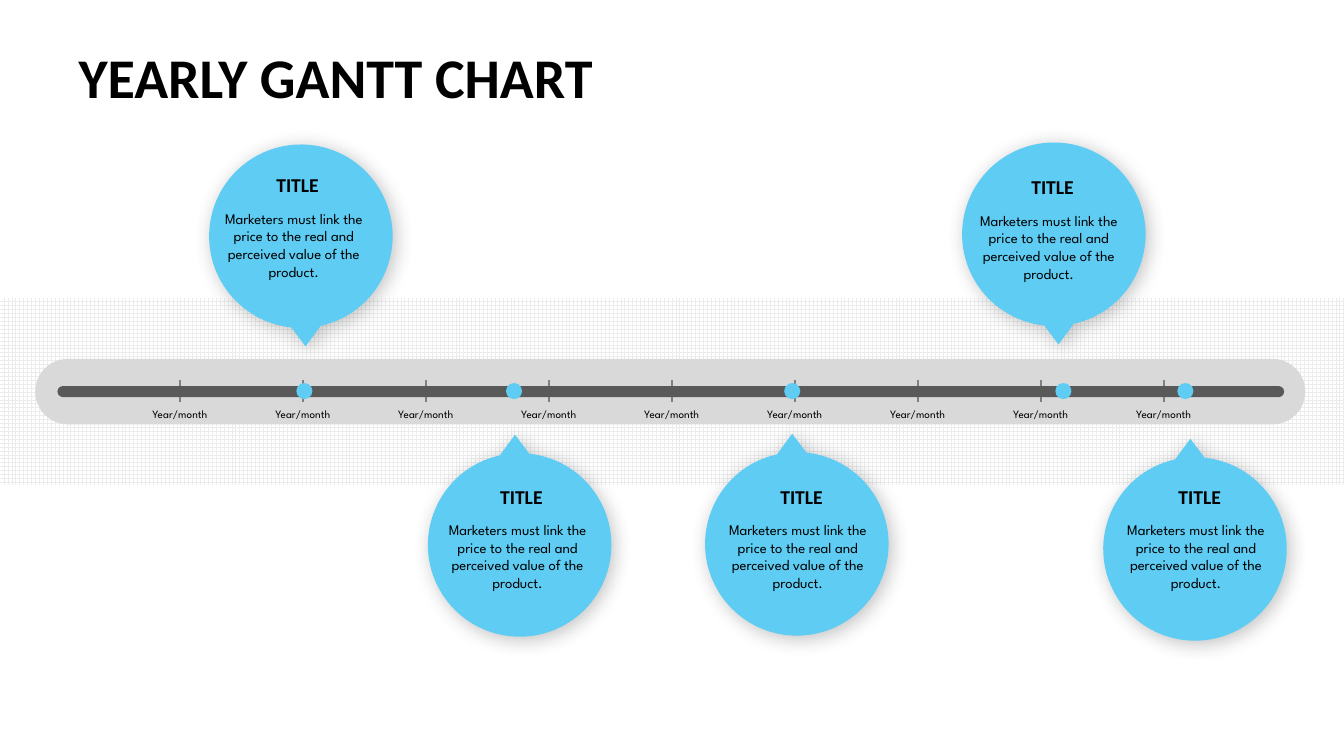
from dataclasses import dataclass
from itertools import pairwise
from math import cos, radians, sin, tan

from lxml import etree
from pptx import Presentation
from pptx.dml.color import RGBColor
from pptx.enum.dml import MSO_PATTERN
from pptx.enum.shapes import MSO_CONNECTOR, MSO_SHAPE
from pptx.enum.text import MSO_ANCHOR, MSO_AUTO_SIZE, PP_ALIGN
from pptx.oxml.ns import qn
from pptx.util import Emu, Inches, Pt

RECTANGLE, ROUNDED, OVAL = MSO_SHAPE.RECTANGLE, MSO_SHAPE.ROUNDED_RECTANGLE, MSO_SHAPE.OVAL
STRAIGHT, LARGE_GRID = MSO_CONNECTOR.STRAIGHT, MSO_PATTERN.LARGE_GRID
LEFT, CENTER = PP_ALIGN.LEFT, PP_ALIGN.CENTER
TOP, MIDDLE = MSO_ANCHOR.TOP, MSO_ANCHOR.MIDDLE
GROW, FIXED = MSO_AUTO_SIZE.SHAPE_TO_FIT_TEXT, MSO_AUTO_SIZE.NONE

# All lengths below are cells of a square grid, 40 columns wide
CELL = Inches(1) / 3
SLIDE_COLUMNS, SLIDE_ROWS = 40, 22.5

TICK_COUNT, FIRST_TICK, TICK_STEP = 9, 5.37, 3.66
TICK_TOP, TICK_BOTTOM = 11.31, 11.97
AXIS_ROW, DOT_SIZE = 11.64, 0.48
RADIUS, TIP_X, TIP_Y = 2.73, 2.91, 1.52
ARC_STOPS = (17.5, -90, -180, -270, -324)
POINTS_DOWN, POINTS_UP = 60, 240
BODY_TEXT = "Marketers must link the price to the real and perceived value of the product."


@dataclass(frozen=True)
class Font:
    name: str
    size: float
    bold: bool = False


@dataclass(frozen=True)
class Theme:
    text: RGBColor = RGBColor(0x00, 0x00, 0x00)
    paper: RGBColor = RGBColor(0xFF, 0xFF, 0xFF)
    mesh: RGBColor = RGBColor(0xEC, 0xEC, 0xEC)
    track: RGBColor = RGBColor(0xD9, 0xD9, 0xD9)
    tick: RGBColor = RGBColor(0x80, 0x80, 0x80)
    bar: RGBColor = RGBColor(0x59, 0x59, 0x59)
    accent: RGBColor = RGBColor(0x5E, 0xCC, 0xF3)
    heading: Font = Font("Calibri", 40, True)
    title: Font = Font("Calibri", 14, True)
    body: Font = Font("League Spartan", 10.5)
    label: Font = Font("League Spartan", 8)


@dataclass(frozen=True)
class Area:
    left: float
    top: float
    width: float
    height: float

    def emu(self) -> tuple[Emu, ...]:
        return tuple(cells(n) for n in (self.left, self.top, self.width, self.height))


@dataclass(frozen=True)
class Milestone:
    dot: float
    column: float
    row: float
    text_column: float
    text_row: float
    rotation: int


THEME = Theme()
MILESTONES = (
    Milestone(9.06, 6.18, 4.38, 6.12, 6.09, POINTS_DOWN),
    Milestone(15.3, 12.6, 13.41, 12.78, 15.36, POINTS_UP),
    Milestone(23.58, 20.85, 13.38, 21.12, 15.36, POINTS_UP),
    Milestone(31.65, 28.59, 4.32, 28.59, 6.15, POINTS_DOWN),
    Milestone(35.28, 32.7, 13.53, 32.97, 15.36, POINTS_UP),
)


def cells(count: float) -> Emu:
    return Emu(round(count * CELL))


def add_plain(shapes, kind, area: Area, color: RGBColor):
    shape = shapes.add_shape(kind, *area.emu())
    shape.shadow.inherit = False
    shape.fill.solid()
    shape.fill.fore_color.rgb = color
    shape.line.fill.background()
    if kind == ROUNDED:
        shape.adjustments[0] = 0.5
    return shape


def write(box, text: str, font: Font, align=CENTER, anchor=TOP) -> None:
    frame = box.text_frame
    frame.text = text
    frame.vertical_anchor = anchor
    para = frame.paragraphs[0]
    para.alignment = align
    span = para.runs[0].font
    span.name, span.size, span.bold = font.name, Pt(font.size), font.bold
    span.color.rgb = THEME.text


def add_text(shapes, area: Area, text: str, font: Font):
    box = shapes.add_textbox(*area.emu())
    box.text_frame.word_wrap = True
    box.text_frame.auto_size = GROW
    write(box, text, font)
    return box


def add_tick(shapes, column: float) -> None:
    tick = shapes.add_connector(STRAIGHT, cells(column), cells(TICK_TOP),
                                cells(column), cells(TICK_BOTTOM))
    tick.line.color.rgb = THEME.tick
    tick.line.width = Pt(1.5)
    etree.SubElement(tick._element.spPr, qn("a:effectLst"))


def add_label(shapes, column: float) -> None:
    label = add_text(shapes, Area(column - 1.26, TICK_BOTTOM, 2.49, 0.72), "Year/month", THEME.label)
    frame = label.text_frame
    frame.auto_size = FIXED
    frame.vertical_anchor = MIDDLE
    frame.margin_left = frame.margin_right = frame.margin_top = frame.margin_bottom = 0


def add_soft_shadow(shape) -> None:
    shape.shadow.inherit = False
    effects = shape._element.spPr.find(qn("a:effectLst"))
    shadow = etree.SubElement(effects, qn("a:outerShdw"), blurRad=str(Pt(14)), dist=str(Pt(3)),
                              dir="2700000", algn="tl", rotWithShape="0")
    color = etree.SubElement(shadow, qn("a:srgbClr"), val=str(THEME.text))
    etree.SubElement(color, qn("a:alpha"), val="23000")


def arc_point(angle: float, lean: float = 0) -> tuple[Emu, Emu]:
    """Point on the balloon's circle, moved along the tangent by a share of the radius."""
    turn = radians(angle)
    return (cells(RADIUS * (1 + cos(turn) - lean * sin(turn))),
            cells(RADIUS * (1 + sin(turn) + lean * cos(turn))))


def round_sides(balloon) -> None:
    """Turn the straight sides between the arc stops into curves."""
    sides = list(balloon._element.iter(qn("a:lnTo")))[1:len(ARC_STOPS)]
    for side, (start, end) in zip(sides, pairwise(ARC_STOPS)):
        lean = 4 / 3 * tan(radians(end - start) / 4)
        curve = etree.Element(qn("a:cubicBezTo"))
        for x, y in (arc_point(start, lean), arc_point(end, -lean), arc_point(end)):
            etree.SubElement(curve, qn("a:pt"), x=str(x), y=str(y))
        side.getparent().replace(side, curve)


def add_balloon(shapes, milestone: Milestone) -> None:
    outline = shapes.build_freeform(cells(RADIUS + TIP_X), cells(RADIUS + TIP_Y))
    outline.add_line_segments([arc_point(angle) for angle in ARC_STOPS], close=True)
    balloon = outline.convert_to_shape()
    round_sides(balloon)
    balloon.left, balloon.top = cells(milestone.column), cells(milestone.row)
    balloon.rotation = milestone.rotation
    balloon.fill.solid()
    balloon.fill.fore_color.rgb = THEME.accent
    balloon.line.fill.background()
    add_soft_shadow(balloon)


def add_timeline(page) -> None:
    timeline = page.shapes.add_group_shape().shapes
    add_plain(timeline, ROUNDED, Area(1.05, 10.68, 37.8, 1.95), THEME.track)
    columns = [FIRST_TICK + TICK_STEP * index for index in range(TICK_COUNT)]
    for column in columns:
        add_tick(timeline, column)
    add_plain(timeline, ROUNDED, Area(1.71, 11.49, 36.51, 0.33), THEME.bar)
    for column in columns:
        add_label(timeline, column)
    for milestone in MILESTONES:
        dot = Area(milestone.dot - DOT_SIZE / 2, AXIS_ROW - DOT_SIZE / 2, DOT_SIZE, DOT_SIZE)
        add_plain(timeline, OVAL, dot, THEME.accent)


def main() -> None:
    deck = Presentation()
    deck.slide_width, deck.slide_height = cells(SLIDE_COLUMNS), cells(SLIDE_ROWS)
    page = deck.slides.add_slide(deck.slide_layouts[5])

    # Heading
    heading = page.shapes.title
    heading.left, heading.top, heading.width, heading.height = Area(2.04, 1.12, 17.1, 2.31).emu()
    heading.text_frame.word_wrap = False
    heading.text_frame.auto_size = GROW
    write(heading, "YEARLY GANTT CHART", THEME.heading, LEFT)

    # Grid band behind the timeline
    band = add_plain(page.shapes, RECTANGLE, Area(0, 8.86, SLIDE_COLUMNS, 5.58), THEME.mesh)
    band.fill.patterned()
    band.fill.pattern = LARGE_GRID
    band.fill.fore_color.rgb = THEME.mesh
    band.fill.back_color.rgb = THEME.paper

    add_timeline(page)

    # Milestone balloons, then their texts
    for milestone in MILESTONES:
        add_balloon(page.shapes, milestone)
    for milestone in MILESTONES:
        column, row = milestone.text_column, milestone.text_row
        add_text(page.shapes, Area(column, row, 5.25, 2.43), BODY_TEXT, THEME.body)
        add_text(page.shapes, Area(column + 0.4, row - 1.08, 4.68, 1.02), "TITLE", THEME.title)

    deck.save("out.pptx")


if __name__ == "__main__":
    main()
